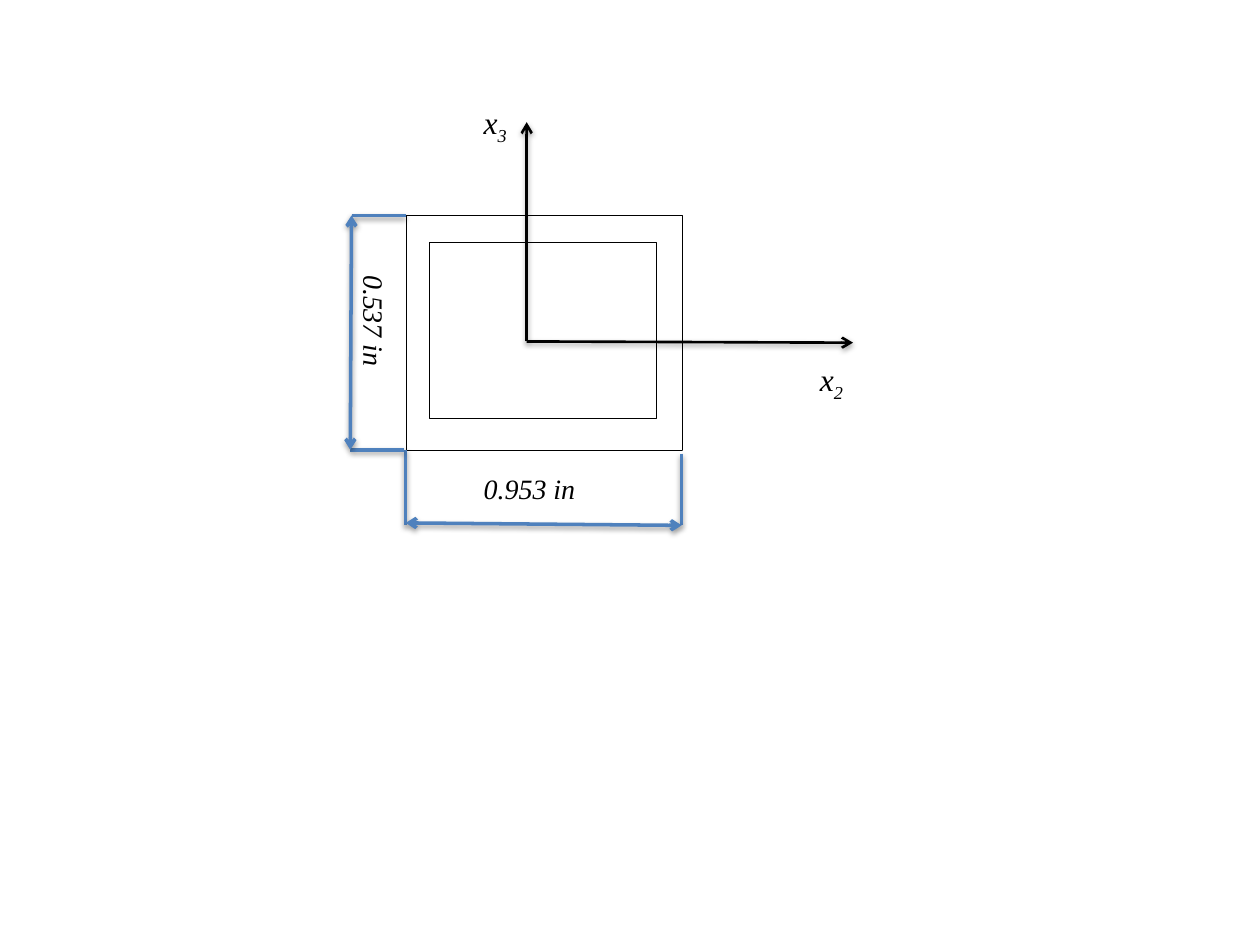
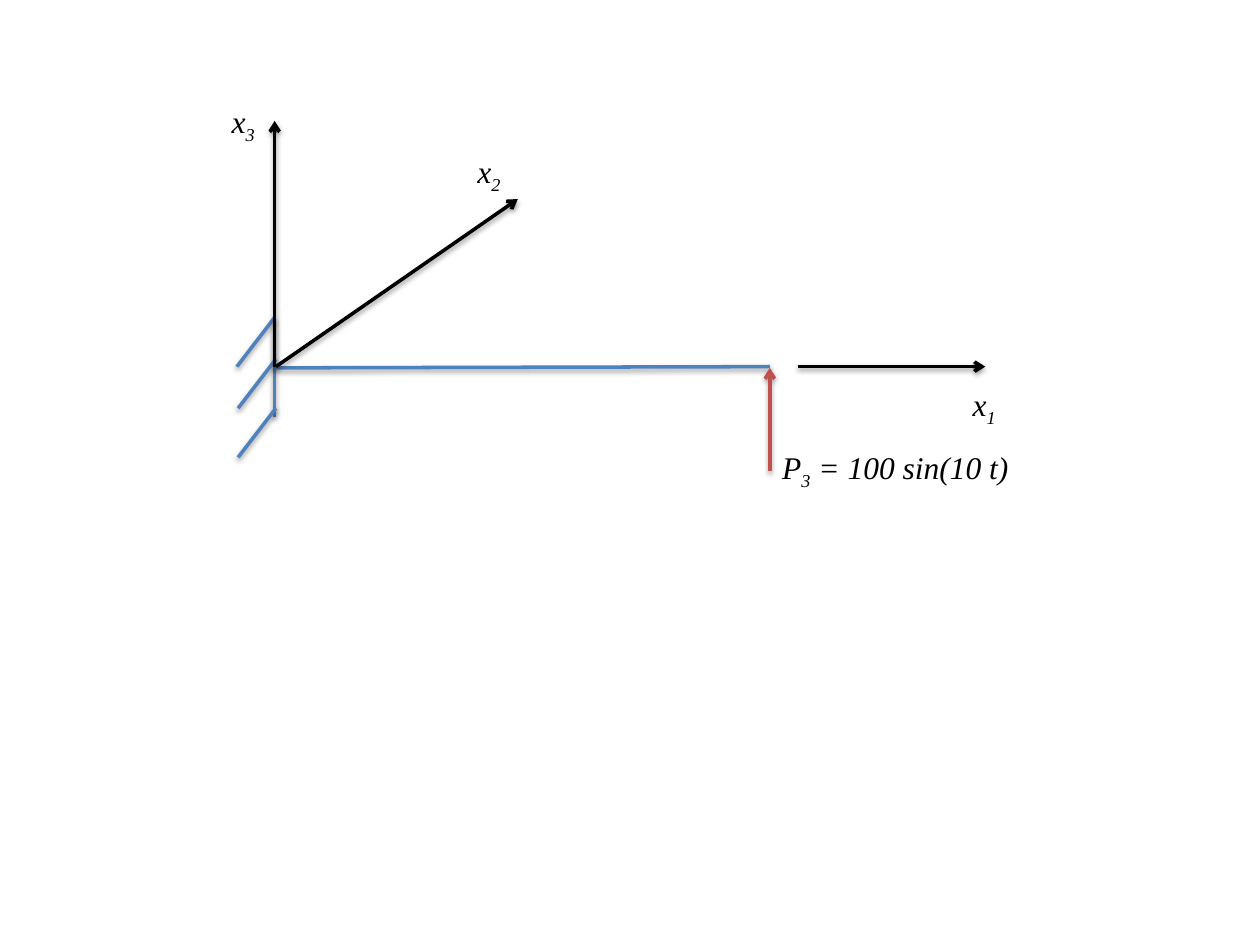
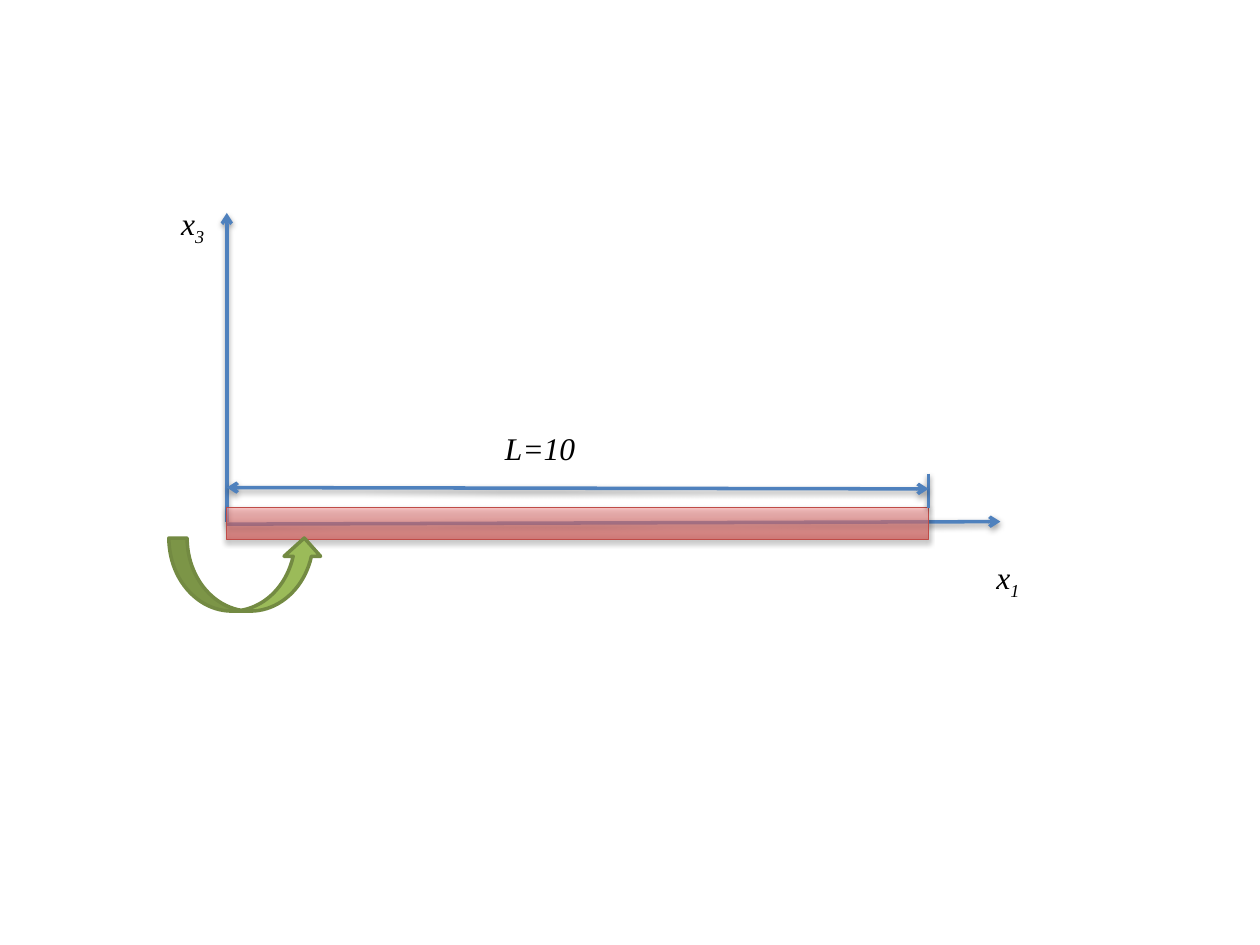
from dataclasses import dataclass

from lxml.etree import SubElement
from pptx import Presentation
from pptx.dml.color import RGBColor
from pptx.enum.shapes import MSO_CONNECTOR as Connector, MSO_SHAPE as Preset
from pptx.enum.text import MSO_AUTO_SIZE as AutoSize
from pptx.oxml.ns import qn
from pptx.util import Inches, Pt

FONT = "Times New Roman"
BLACK = "000000"
BLUE = "4F81BD"
RED = "C0504D"
BEAM_DARK, BEAM_LIGHT, BEAM_EDGE = "D1403C", "FFA6A5", "BF4C48"
GREEN, GREEN_EDGE = "9BBB59", "738A42"

Point = tuple[float, float]
Box = tuple[float, float, float, float]


@dataclass(frozen=True)
class Line:
    start: Point
    end: Point
    color: str = BLUE
    width: float = 2
    ends: tuple[str, ...] = ()


@dataclass(frozen=True)
class Label:
    left: float
    top: float
    width: float
    text: str
    subscript: str = ""
    rest: str = ""
    size: int = 18
    height: float = 0.4
    rotation: int = 0


ARROW = ("tailEnd",)
DOUBLE_ARROW = ("headEnd", "tailEnd")


def rgb(color: str) -> RGBColor:
    return RGBColor.from_string(color)


def cast_shadow(shape, opacity: int, distance: float) -> None:
    effects = SubElement(shape._element.spPr, qn("a:effectLst"))
    shadow = SubElement(
        effects, qn("a:outerShdw"), blurRad=str(Pt(3.1)),
        dist=str(Pt(distance)), dir="5400000", rotWithShape="0",
    )
    color = SubElement(shadow, qn("a:srgbClr"), val=BLACK)
    SubElement(color, qn("a:alpha"), val=str(opacity * 1000))


def draw_line(slide, line: Line) -> None:
    connector = slide.shapes.add_connector(
        Connector.STRAIGHT, *(Inches(value) for value in line.start + line.end)
    )
    connector.line.color.rgb = rgb(line.color)
    connector.line.width = Pt(line.width)
    outline = connector._element.spPr.find(qn("a:ln"))
    for end in line.ends:
        SubElement(outline, qn(f"a:{end}"), type="arrow")
    cast_shadow(connector, 38, 1.6)


def draw_label(slide, label: Label) -> None:
    box = slide.shapes.add_textbox(
        Inches(label.left), Inches(label.top), Inches(label.width), Inches(label.height)
    )
    box.rotation = label.rotation
    frame = box.text_frame
    frame.word_wrap = True
    frame.auto_size = AutoSize.SHAPE_TO_FIT_TEXT
    paragraph = frame.paragraphs[0]
    font = paragraph.font
    font.name, font.size, font.italic = FONT, Pt(label.size), True
    font.color.rgb = rgb(BLACK)
    for text in filter(None, (label.text, label.subscript, label.rest)):
        run = paragraph.add_run()
        run.text = text
        if text == label.subscript:
            run.font._element.set("baseline", "-25000")


def draw_all(slide, items: list[Line | Label]) -> None:
    for item in items:
        if isinstance(item, Line):
            draw_line(slide, item)
        else:
            draw_label(slide, item)


def add_shape(slide, preset: Preset, box: Box, edge: str, width: float):
    shape = slide.shapes.add_shape(preset, *(Inches(value) for value in box))
    shape.line.color.rgb = rgb(edge)
    shape.line.width = Pt(width)
    return shape


def draw_outline(slide, box: Box) -> None:
    shape = add_shape(slide, Preset.RECTANGLE, box, BLACK, 0.1)
    shape.fill.background()
    shape.shadow.inherit = False


def draw_beam(slide, box: Box) -> None:
    beam = add_shape(slide, Preset.RECTANGLE, box, BEAM_EDGE, 0.75)
    beam.fill.gradient()
    beam.fill.gradient_angle = 90
    for stop, position, color in zip(
        beam.fill.gradient_stops, (0, 1), (BEAM_DARK, BEAM_LIGHT)
    ):
        stop.position = position
        stop.color.rgb = rgb(color)
    gradient = beam._element.spPr.find(qn("a:gradFill"))
    for color in gradient.findall(".//" + qn("a:srgbClr")):
        SubElement(color, qn("a:alpha"), val="59000")
    cast_shadow(beam, 35, 1.8)


def draw_moment(slide, box: Box) -> None:
    arrow = add_shape(slide, Preset.CURVED_UP_ARROW, box, GREEN_EDGE, 2)
    arrow.fill.solid()
    arrow.fill.fore_color.rgb = rgb(GREEN)
    arrow.shadow.inherit = False


def build_cross_section(slide) -> None:
    left, top, width, height = 3.22, 1.71, 2.19, 1.86
    right, bottom = left + width, top + height
    origin = (4.18, 2.71)
    draw_outline(slide, (3.41, 1.92, 1.8, 1.4))
    draw_outline(slide, (left, top, width, height))
    draw_all(slide, [
        Line(origin, (6.77, 2.72), BLACK, 1.5, ARROW),
        Line(origin, (4.18, 0.97), BLACK, 1.5, ARROW),
        Label(6.41, 2.81, 0.54, "x", "2"),
        Label(3.74, 0.77, 1.19, "x", "3"),
        Line((left, bottom), (left, 4.17)),
        Line((right, 3.6), (right, 4.17)),
        Line((left, 4.15), (right, 4.17), ends=DOUBLE_ARROW),
        Label(3.74, 3.69, 1.52, "0.953 in", size=16, height=0.37),
        Line((2.79, top), (left, top)),
        Line((2.78, bottom), (3.21, bottom)),
        Line((2.79, top), (2.78, bottom), ends=DOUBLE_ARROW),
        Label(2.21, 2.66, 1.52, "0.537 in", size=16, height=0.37, rotation=90),
    ])


def build_cantilever(slide) -> None:
    wall, axis, tip = 2.18, 2.91, 6.11
    hatches = [
        Line((x, y), (x - 0.3, y + 0.39))
        for x, y in ((wall, 2.52), (2.19, 2.85), (2.19, 3.24))
    ]
    draw_all(slide, [
        Line((wall, 2.52), (wall, 3.31)),
        Line((wall, 2.92), (tip, axis)),
        *hatches,
        Line((6.33, axis), (7.82, axis), BLACK, ends=ARROW),
        Label(7.62, 3.01, 1.19, "x", "1"),
        Label(3.69, 1.16, 1.19, "x", "2"),
        Label(1.74, 0.76, 1.19, "x", "3"),
        Line((wall, axis), (wall, 0.96), BLACK, ends=ARROW),
        Line((2.19, axis), (4.11, 1.58), BLACK, ends=ARROW),
        Label(tip, 3.51, 2.69, "P", "3", " = 100 sin(10 t)"),
        Line((tip, 3.74), (tip, 2.92), RED, ends=ARROW),
    ])


def build_rotating_beam(slide) -> None:
    left, top, length = 1.8, 4.03, 5.57
    right = left + length
    draw_all(slide, [
        Line((left, 4.16), (7.94, 4.14), ends=ARROW),
        Line((left, 4.14), (left, 1.69), ends=ARROW),
    ])
    draw_beam(slide, (left, top, length, 0.25))
    draw_moment(slide, (1.34, 4.27, 1.22, 0.58))
    draw_all(slide, [
        Label(7.81, 4.38, 1.1, "x", "1"),
        Label(1.34, 1.57, 1.1, "x", "3"),
        Line((right, 3.76), (right, top)),
        Line((left, 3.87), (right, 3.88), ends=DOUBLE_ARROW),
        Label(3.91, 3.36, 1.36, "L=10"),
    ])


def main() -> None:
    presentation = Presentation()
    presentation.slide_width = Inches(10)
    presentation.slide_height = Inches(7.5)
    blank = presentation.slide_layouts[6]
    for build in (build_cross_section, build_cantilever, build_rotating_beam):
        build(presentation.slides.add_slide(blank))
    presentation.save("out.pptx")


main()
